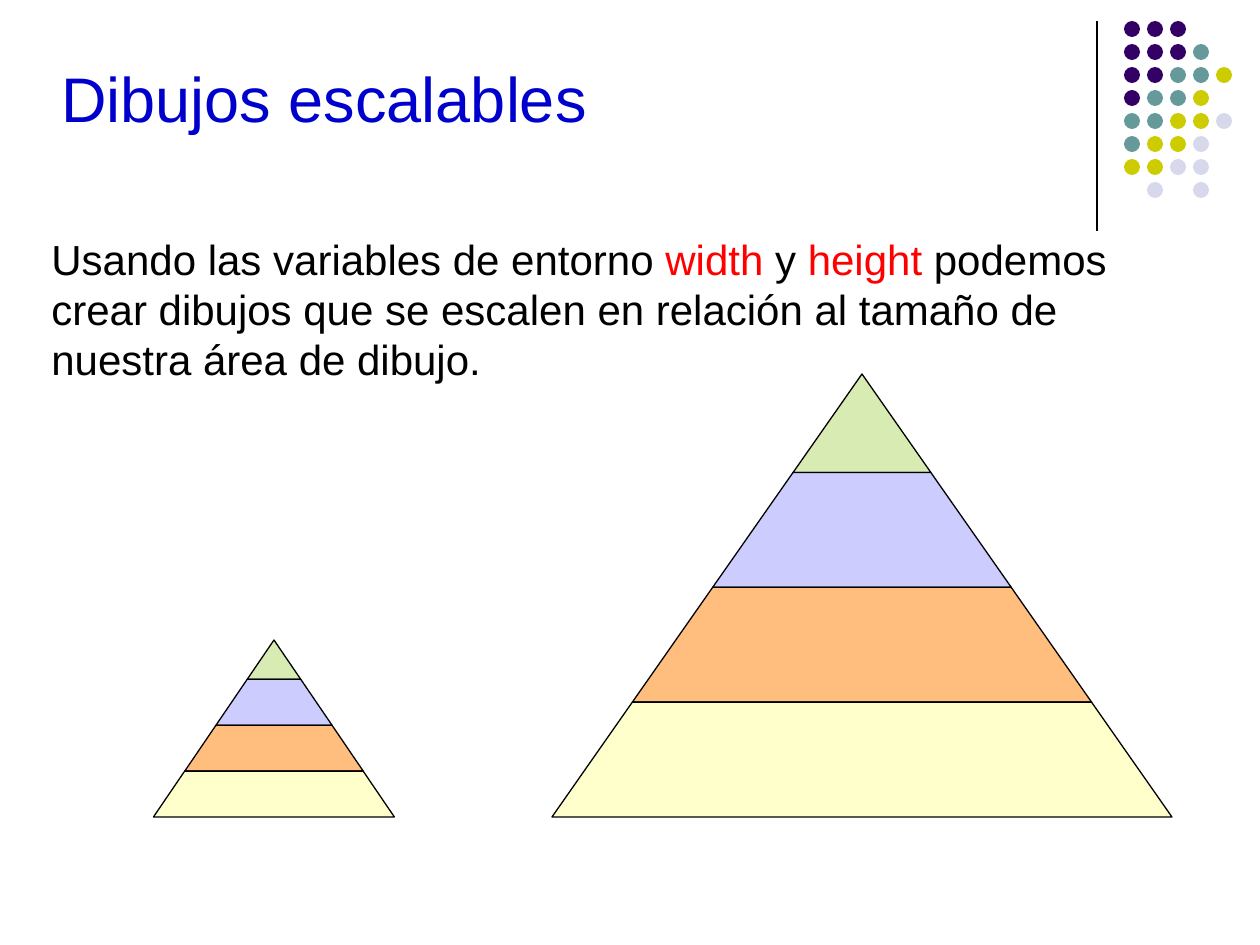
from lxml.etree import SubElement
from pptx import Presentation
from pptx.dml.color import RGBColor as Rgb
from pptx.enum.shapes import MSO_CONNECTOR as Connector, MSO_SHAPE as Shape
from pptx.enum.text import MSO_ANCHOR as Anchor
from pptx.oxml.ns import qn
from pptx.util import Pt

PX = 914400 / 126  # EMU per pixel
COLORS = {
    "black": "000000", "blue": "0000CC", "red": "FF0000",
    "purple": "330066", "teal": "669999", "olive": "CCCC00", "mist": "D8D8EC",
    "green": "D8EBB3", "lilac": "CCCCFF", "orange": "FFBE7D", "cream": "FFFFCC",
}


def emu(*lengths):
    return [round(length * PX) for length in lengths]


def color(name):
    return Rgb.from_string(COLORS[name])


deck = Presentation()
deck.slide_width, deck.slide_height = emu(1260, 945)
page = deck.slides.add_slide(deck.slide_layouts[6])

# Vertical rule beside the dots
rule = page.shapes.add_connector(Connector.STRAIGHT, *emu(1097, 21, 1097, 231))
rule.line.color.rgb = color("black")
rule.line.width = Pt(0.75)
SubElement(rule._element.spPr, qn("a:effectLst"))

# Corner dots: one letter per dot, a space leaves a gap
dot_colors = {"p": "purple", "t": "teal", "o": "olive", "m": "mist"}
dot_rows = ["ppp", "pppt", "pptto", "ptto", "ttoom", "toom", "oomm", " m m"]
for row, letters in enumerate(dot_rows):
    for column, letter in enumerate(letters):
        if letter == " ":
            continue
        dot = page.shapes.add_shape(
            Shape.OVAL, *emu(1124 + 23 * column, 21 + 23 * row, 16, 16))
        dot.shadow.inherit = False
        dot.fill.solid()
        dot.fill.fore_color.rgb = color(dot_colors[letter])
        dot.line.fill.background()

# Title and body text
texts = [
    ((49, 29, 571, 136), Anchor.MIDDLE, {"name": "Arial", "size": Pt(36)},
     [("Dibujos escalables", "blue")]),
    ((39, 227, 1172, 164), Anchor.TOP, {"name": "Arial", "size": Pt(24)},
     [("Usando las variables de entorno ", "black"), ("width", "red"),
      (" y ", "black"), ("height", "red"),
      (" podemos crear dibujos que se escalen en relación al tamaño de "
       "nuestra área de dibujo.", "black")]),
]
for bounds, anchor, font_format, spans in texts:
    box = page.shapes.add_textbox(*emu(*bounds))
    box.text_frame.word_wrap = True
    box.text_frame.vertical_anchor = anchor
    para = box.text_frame.paragraphs[0]
    for words, color_name in spans:
        span = para.add_run()
        span.text = words
        span.font.color.rgb = color(color_name)
        for key, value in font_format.items():
            setattr(span.font, key, value)

# The same pyramid at two scales: apex x, top, base width, height
pyramids = [(274, 640, 241, 177), (862, 374, 620, 443)]
# Each band runs between two fractions of the height, counted in 27ths
bands = [(0, 6, "green"), (6, 13, "lilac"), (13, 20, "orange"), (20, 27, "cream")]
for apex, top, width, height in pyramids:
    for start, end, color_name in bands:
        upper, lower = start / 27, end / 27
        corners = [(apex + side * width * level / 2, top + height * level)
                   for side, level in [(-1, upper), (1, upper), (1, lower), (-1, lower)]]
        if start == 0:
            corners = corners[1:]  # the tip is a triangle
        points = [emu(*corner) for corner in corners]
        outline = page.shapes.build_freeform(*points[0])
        outline.add_line_segments(points[1:], close=True)
        band = outline.convert_to_shape()
        band.shadow.inherit = False
        band.fill.solid()
        band.fill.fore_color.rgb = color(color_name)
        band.line.color.rgb = color("black")
        band.line.width = Pt(0.75)

deck.save("out.pptx")
